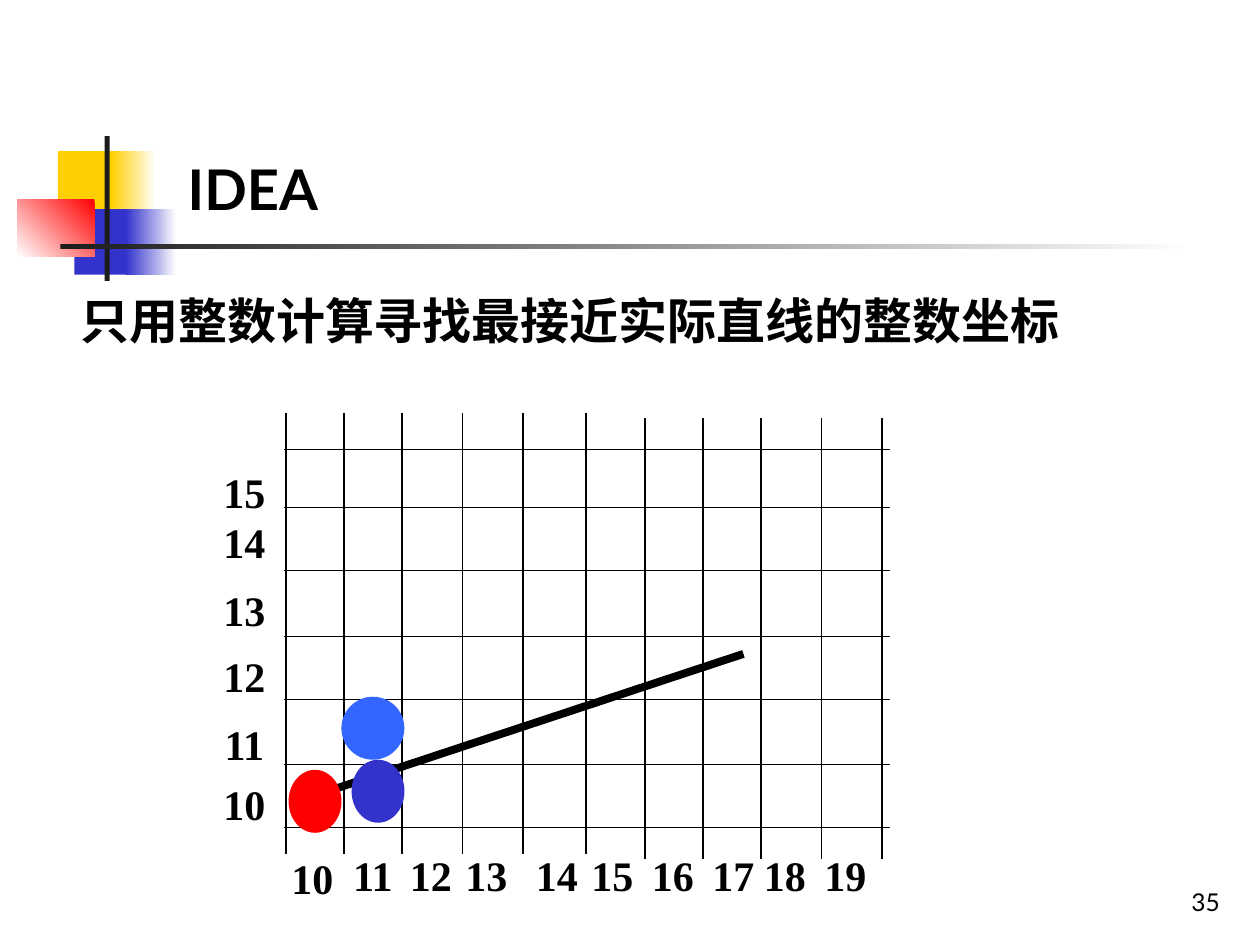
import pptx
import pptx.dml.color
import pptx.enum.shapes
import pptx.enum.text
import pptx.oxml.ns
import pptx.util
from lxml import etree

RGBColor = pptx.dml.color.RGBColor
SHAPES = pptx.enum.shapes.MSO_SHAPE
ALIGN = pptx.enum.text.PP_ALIGN
ANCHOR = pptx.enum.text.MSO_ANCHOR

BLACK = RGBColor(0x00, 0x00, 0x00)
WHITE = RGBColor(0xFF, 0xFF, 0xFF)
CHARCOAL = RGBColor(0x1C, 0x1C, 0x1C)
YELLOW = RGBColor(0xFF, 0xCF, 0x01)
RED = RGBColor(0xFF, 0x00, 0x00)
INDIGO = RGBColor(0x33, 0x33, 0xCC)
BLUE = RGBColor(0x33, 0x66, 0xFF)

PX = 9144  # 100 px to the inch


def px(length):
    return pptx.util.Emu(length * PX)


def add_text(slide, text, box, *, size, font="Lato", bold=False, align=ALIGN.LEFT,
             anchor=ANCHOR.TOP, insets=(10, 5, 10, 5), wrap=True):
    shape = slide.shapes.add_textbox(*map(px, box))
    frame = shape.text_frame
    frame.word_wrap = wrap
    frame.vertical_anchor = anchor
    (frame.margin_left, frame.margin_top,
     frame.margin_right, frame.margin_bottom) = map(px, insets)
    paragraph = frame.paragraphs[0]
    paragraph.alignment = align
    run = paragraph.add_run()
    run.text = text
    run.font.name = font
    run.font.size = pptx.util.Pt(size)
    run.font.bold = bold
    run.font.color.rgb = BLACK


def add_filled_shape(slide, kind, box, color, end_color=None, angle=0):
    """Fill with color, or with a gradient to end_color (angle counterclockwise)."""
    shape = slide.shapes.add_shape(kind, *map(px, box))
    shape.shadow.inherit = False
    shape.line.fill.background()
    if end_color is None:
        shape.fill.solid()
        shape.fill.fore_color.rgb = color
        return
    shape.fill.gradient()
    shape.fill.gradient_angle = angle
    for stop, stop_color in zip(shape.fill.gradient_stops, (color, end_color)):
        stop.color.rgb = stop_color


def add_line(slide, start, end, width):
    line = slide.shapes.add_connector(
        pptx.enum.shapes.MSO_CONNECTOR.STRAIGHT, *map(px, (*start, *end)))
    line.line.color.rgb = BLACK
    line.line.width = pptx.util.Pt(width)
    etree.SubElement(line._element.spPr, pptx.oxml.ns.qn("a:effectLst"))


def add_ornament(slide, left, top):
    for x, y, width, height, *fill in (
        (32, 12, 48, 52, YELLOW),
        (74, 12, 36, 52, YELLOW, WHITE, 0),
        (45, 58, 46, 52, INDIGO),
        (86, 58, 40, 52, INDIGO, WHITE, 0),
        (0, 50, 61, 46, RED, WHITE, 225),
        (69, 0, 4, 115, CHARCOAL),
        (34, 86, 900, 4, CHARCOAL, WHITE, 0),
    ):
        add_filled_shape(slide, SHAPES.RECTANGLE, (left + x, top + y, width, height), *fill)


def add_grid(slide, left, top):
    for y in (29, 75, 125, 177, 227, 279, 329):
        add_line(slide, (left + 48, top + y), (left + 529, top + y), 0.75)
    for index, x in enumerate((50, 96, 142, 190, 238, 288, 335, 381, 427, 475, 523)):
        column_top = top + (0 if index < 6 else 4)
        add_line(slide, (left + x, column_top), (left + x, column_top + 350), 0.75)


def add_axis_labels(slide, left, top):
    column_centers = (71, 119, 165, 209, 265, 309, 357, 405, 446, 494)
    row_tops = (290, 242, 188, 136, 82, 42)
    horizontal = [(x, 346 if index else 349) for index, x in enumerate(column_centers)]
    vertical = [(17, y) for y in row_tops]
    for positions in (horizontal, vertical):
        for value, (center, y) in enumerate(positions, start=10):
            add_text(slide, str(value), (left + center - 20, top + y, 40, 40), size=24,
                     font="Times New Roman", bold=True, align=ALIGN.CENTER,
                     anchor=ANCHOR.MIDDLE, insets=(0, 0, 0, 0), wrap=False)


def add_line_with_pixels(slide, left, top):
    """The ideal line, its starting pixel and the two candidates for the next one."""
    add_line(slide, (left + 71, top + 304), (left + 413, top + 191), 4.5)
    for x, y, width, height, color in (
        (52, 283, 42, 50, RED),
        (102, 275, 42, 50, INDIGO),
        (94, 225, 50, 50, BLUE),
    ):
        add_filled_shape(slide, SHAPES.OVAL, (left + x, top + y, width, height), color)


def add_raster_diagram(slide, left, top):
    add_grid(slide, left, top)
    add_axis_labels(slide, left, top)
    add_line_with_pixels(slide, left, top)


def main():
    presentation = pptx.Presentation()
    presentation.slide_width, presentation.slide_height = px(1000), px(750)
    slide = presentation.slides.add_slide(presentation.slide_layouts[6])
    add_ornament(slide, 14, 108)
    add_text(slide, "IDEA", (126, 23, 852, 160), size=32, bold=True,
             anchor=ANCHOR.BOTTOM, insets=(23, 5, 10, 7))
    add_raster_diagram(slide, 177, 328)
    add_text(slide, "只用整数计算寻找最接近实际直线的整数坐标", (54, 226, 820, 57),
             size=28, bold=True, wrap=False)
    add_text(slide, "35", (770, 682, 208, 50), size=14, align=ALIGN.RIGHT,
             anchor=ANCHOR.BOTTOM)
    presentation.save("out.pptx")


if __name__ == "__main__":
    main()
